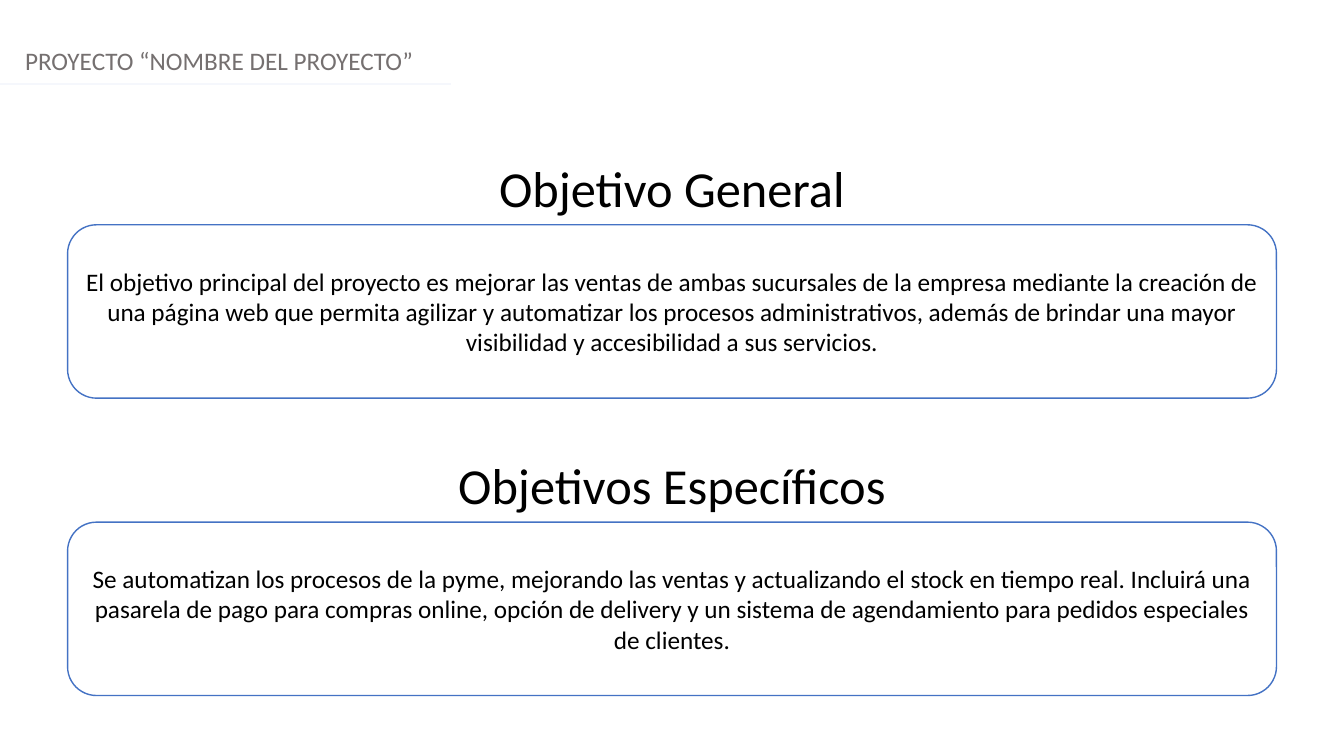
"""Build the project objectives slide."""
from dataclasses import dataclass

from lxml.etree import SubElement
from pptx import Presentation
from pptx.dml.color import RGBColor
from pptx.enum.shapes import MSO_CONNECTOR, MSO_SHAPE
from pptx.enum.text import MSO_ANCHOR, PP_ALIGN
from pptx.oxml.ns import qn
from pptx.util import Inches, Pt


@dataclass(frozen=True)
class Theme:
    font: str = "Calibri"
    text: RGBColor = RGBColor.from_string("000000")
    muted: RGBColor = RGBColor.from_string("757070")
    rule: RGBColor = RGBColor.from_string("F5F7FC")
    border: RGBColor = RGBColor.from_string("4472C4")
    panel: RGBColor = RGBColor.from_string("FFFFFF")
    heading_size: Pt = Pt(36)
    body_size: Pt = Pt(18)


theme = Theme()


def write(sp, text, size, color, align, anchor=MSO_ANCHOR.TOP):
    tf = sp.text_frame
    tf.word_wrap = True
    tf.vertical_anchor = anchor
    p = tf.paragraphs[0]
    p.text = text
    p.alignment = align
    p.font.name = theme.font
    p.font.size = size
    p.font.color.rgb = color


prs = Presentation()
prs.slide_width = Inches(13.33)
prs.slide_height = Inches(7.5)
s = prs.slides.add_slide(prs.slide_layouts[6])

header = s.shapes.add_textbox(Inches(0.15), Inches(0.4), Inches(13.33), Inches(0.4))
write(header, "PROYECTO “NOMBRE DEL PROYECTO”", theme.body_size, theme.muted, PP_ALIGN.LEFT)

rule = s.shapes.add_connector(
    MSO_CONNECTOR.STRAIGHT, Inches(0), Inches(0.83), Inches(4.47), Inches(0.83)
)
rule.line.color.rgb = theme.rule
rule.line.width = Pt(1.25)
SubElement(rule._element.spPr, qn("a:effectLst"))

sections = [
    (
        "Objetivo General",
        "El objetivo principal del proyecto es mejorar las ventas de ambas sucursales "
        "de la empresa mediante la creación de una página web que permita agilizar y "
        "automatizar los procesos administrativos, además de brindar una mayor "
        "visibilidad y accesibilidad a sus servicios.",
    ),
    (
        "Objetivos Específicos",
        "Se automatizan los procesos de la pyme, mejorando las ventas y actualizando "
        "el stock en tiempo real. Incluirá una pasarela de pago para compras online, "
        "opción de delivery y un sistema de agendamiento para pedidos especiales de "
        "clientes.",
    ),
]

for i, (heading, body) in enumerate(sections):
    top = 1.51 + i * 2.95
    title = s.shapes.add_textbox(Inches(0), Inches(top), prs.slide_width, Inches(0.71))
    write(title, heading, theme.heading_size, theme.text, PP_ALIGN.CENTER)

    panel = s.shapes.add_shape(
        MSO_SHAPE.ROUNDED_RECTANGLE,
        Inches(0.67), Inches(top + 0.72), Inches(11.99), Inches(1.72),
    )
    panel.shadow.inherit = False
    panel.fill.solid()
    panel.fill.fore_color.rgb = theme.panel
    panel.line.color.rgb = theme.border
    panel.line.width = Pt(1)
    write(panel, body, theme.body_size, theme.text, PP_ALIGN.CENTER, MSO_ANCHOR.MIDDLE)

prs.save("out.pptx")
